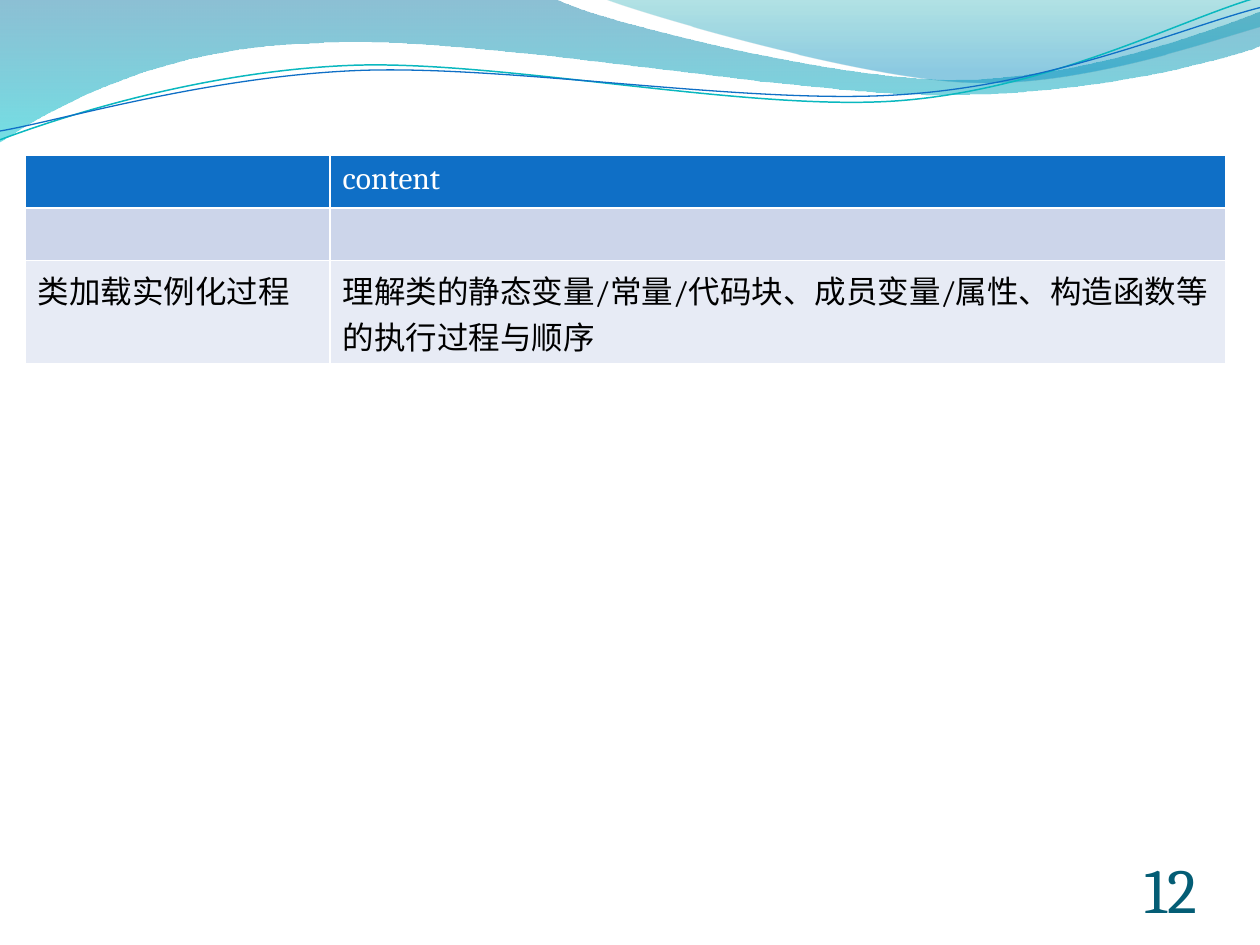
import math
import pptx
import pptx.util
import pptx.dml.color
import pptx.enum.text
import pptx.oxml
import pptx.oxml.ns
from dataclasses import dataclass
from pptx.util import Inches


@dataclass(frozen=True)
class Theme:
    font: str = "Cambria"
    body_size: int = 18
    number_size: int = 36
    white: str = "FFFFFF"
    black: str = "000000"
    blue: str = "0F6FC6"
    teal: str = "0AB8BF"
    number: str = "045D75"
    # One fill per table row: header, then alternating bands
    row_fills: tuple = ("0F6FC6", "CCD5EA", "E7EBF5")
    # Gradient stops: position, colour, opacity in percent
    wide_wave: tuple = ((0, "0074A1", 45), (1, "00C6CF", 55))
    right_wave: tuple = ((0, "00A1A9", 30), (0.8, "008BBF", 45))


def rgb(value):
    return pptx.dml.color.RGBColor.from_string(value)


class SlideBuilder:
    def __init__(self, prs, theme):
        self.theme = theme
        self.s = prs.slides.add_slide(prs.slide_layouts[6])

    def freeform(self, box, segments, close, rotation=0):
        """Outline in slide inches; one point is a move or line, three a Bezier."""
        left, top, width, height = box
        right, bottom = left + width, top + height
        corners = [(left, top), (right, top), (right, bottom), (left, bottom)]
        points = [(Inches(x), Inches(y)) for x, y in corners]
        builder = self.s.shapes.build_freeform(*points[0])
        builder.add_line_segments(points[1:], close=close)
        sp = builder.convert_to_shape()
        sp.shadow.inherit = False
        sp.rotation = rotation

        # Replace the box outline by the curved one, in unrotated coordinates
        cos, sin = math.cos(math.radians(-rotation)), math.sin(math.radians(-rotation))

        def point_xml(x, y):
            dx, dy = x - left - width / 2, y - top - height / 2
            local_x = Inches(dx * cos - dy * sin + width / 2)
            local_y = Inches(dx * sin + dy * cos + height / 2)
            return f'<a:pt x="{local_x}" y="{local_y}"/>'

        outline = next(sp._element.iter(pptx.oxml.ns.qn("a:path")))
        for child in list(outline):
            outline.remove(child)
        for i, segment in enumerate(segments):
            tag = "moveTo" if i == 0 else "lnTo" if len(segment) == 1 else "cubicBezTo"
            body = "".join(point_xml(x, y) for x, y in segment)
            self.add_xml(outline, tag, body)
        if close:
            self.add_xml(outline, "close")
        return sp

    def add_xml(self, parent, tag, body="", attributes=""):
        ns = pptx.oxml.ns.nsdecls("a")
        parent.append(pptx.oxml.parse_xml(f"<a:{tag} {ns} {attributes}>{body}</a:{tag}>"))

    def wave(self, box, segments, stops):
        sp = self.freeform(box, segments, True)
        sp.line.fill.background()
        sp.fill.gradient()
        sp.fill.gradient_angle = 270
        for stop, (position, color, _) in zip(sp.fill.gradient_stops, stops):
            stop.position = position
            stop.color.rgb = rgb(color)
        # Opacity of each gradient stop
        colors = sp._element.spPr.iter(pptx.oxml.ns.qn("a:srgbClr"))
        for clr, (_, _, opacity) in zip(colors, stops):
            self.add_xml(clr, "alpha", attributes=f'val="{opacity * 1000}"')

    def curve(self, box, segments, color, width):
        sp = self.freeform(box, segments, False, rotation=357.3)
        sp.fill.background()
        sp.line.color.rgb = rgb(color)
        sp.line.width = pptx.util.Pt(width)

    def run(self, p, text, size, color):
        r = p.add_run()
        r.text = text
        r.font.name = self.theme.font
        r.font.size = pptx.util.Pt(size)
        r.font.bold = False
        r.font.color.rgb = rgb(color)

    def page_number(self, text, left, top, width, height):
        sp = self.s.shapes.add_textbox(Inches(left), Inches(top),
                                       Inches(width), Inches(height))
        tf = sp.text_frame
        tf.word_wrap = True
        tf.vertical_anchor = pptx.enum.text.MSO_ANCHOR.BOTTOM
        tf.margin_left = tf.margin_top = tf.margin_right = tf.margin_bottom = 0
        p = tf.paragraphs[0]
        p.alignment = pptx.enum.text.PP_ALIGN.RIGHT
        self.run(p, text, self.theme.number_size, self.theme.number)

    def table(self, rows, left, top, col_widths, row_heights):
        frame = self.s.shapes.add_table(
            len(rows), len(col_widths), Inches(left), Inches(top),
            Inches(sum(col_widths)), Inches(sum(row_heights)))
        table = frame.table
        for column, width in zip(table.columns, col_widths):
            column.width = Inches(width)
        for i, (row, fill) in enumerate(zip(rows, self.theme.row_fills)):
            table.rows[i].height = Inches(row_heights[i])
            color = self.theme.black if i else self.theme.white
            for j, text in enumerate(row):
                cell = table.cell(i, j)
                cell.fill.solid()
                cell.fill.fore_color.rgb = rgb(fill)
                if text:
                    self.run(cell.text_frame.paragraphs[0], text,
                             self.theme.body_size, color)


def main():
    prs = pptx.Presentation()
    prs.slide_width, prs.slide_height = Inches(10), Inches(7.5)
    theme = Theme()
    slide = SlideBuilder(prs, theme)

    # Translucent waves along the top edge
    slide.wave((-0.01, -0.01, 10.02, 1.14), [
        [(0, 0)],
        [(4.4, -0.01)],
        [(4.76, 0.17), (6.64, 0.63), (7.58, 0.63)],
        [(8.53, 0.63), (9.58, 0.26), (10, 0.09)],
        [(10.01, 0.36)],
        [(9.83, 0.44), (8.7, 0.76), (7.46, 0.75)],
        [(6.22, 0.75), (3.82, 0.28), (2.57, 0.34)],
        [(1.29, 0.36), (0.46, 0.83), (-0.01, 1.13)],
        [(0, 0)],
    ], theme.wide_wave)
    slide.wave((4.79, -0.01, 5.21, 0.7), [
        [(4.79, -0.01)],
        [(5.09, 0.11), (6.82, 0.62), (7.69, 0.65)],
        [(8.56, 0.69), (9.61, 0.32), (10, 0.21)],
        [(10, 0)],
        [(4.79, -0.01)],
    ], theme.right_wave)

    # Thin curves crossing the waves
    slide.curve((-0.02, 0.22, 10.02, 0.71), [
        [(0, 1.11)],
        [(0.48, 0.93), (1.58, 0.57), (2.77, 0.52)],
        [(3.95, 0.47), (5.93, 0.89), (7.13, 0.8)],
        [(8.33, 0.71), (9.38, 0.15), (9.98, -0.02)],
    ], theme.teal, 0.85)
    slide.curve((-0.02, 0.3, 10.03, 0.58), [
        [(0, 1.04)],
        [(0.47, 0.96), (1.64, 0.61), (2.83, 0.56)],
        [(4.03, 0.51), (5.97, 0.84), (7.17, 0.75)],
        [(8.36, 0.67), (9.41, 0.21), (10, 0.06)],
    ], theme.blue, 0.75)

    # Page number
    slide.page_number("12", 8.67, 6.95, 0.83, 0.4)

    # Content table
    slide.table([
        ("", "content"),
        ("", ""),
        ("类加载实例化过程",
         "理解类的静态变量/常量/代码块、成员变量/属性、构造函数等的执行过程与顺序"),
    ], 0.2, 1.23, (2.42, 7.11), (0.42, 0.42, 0.82))

    prs.save("out.pptx")


if __name__ == "__main__":
    main()
